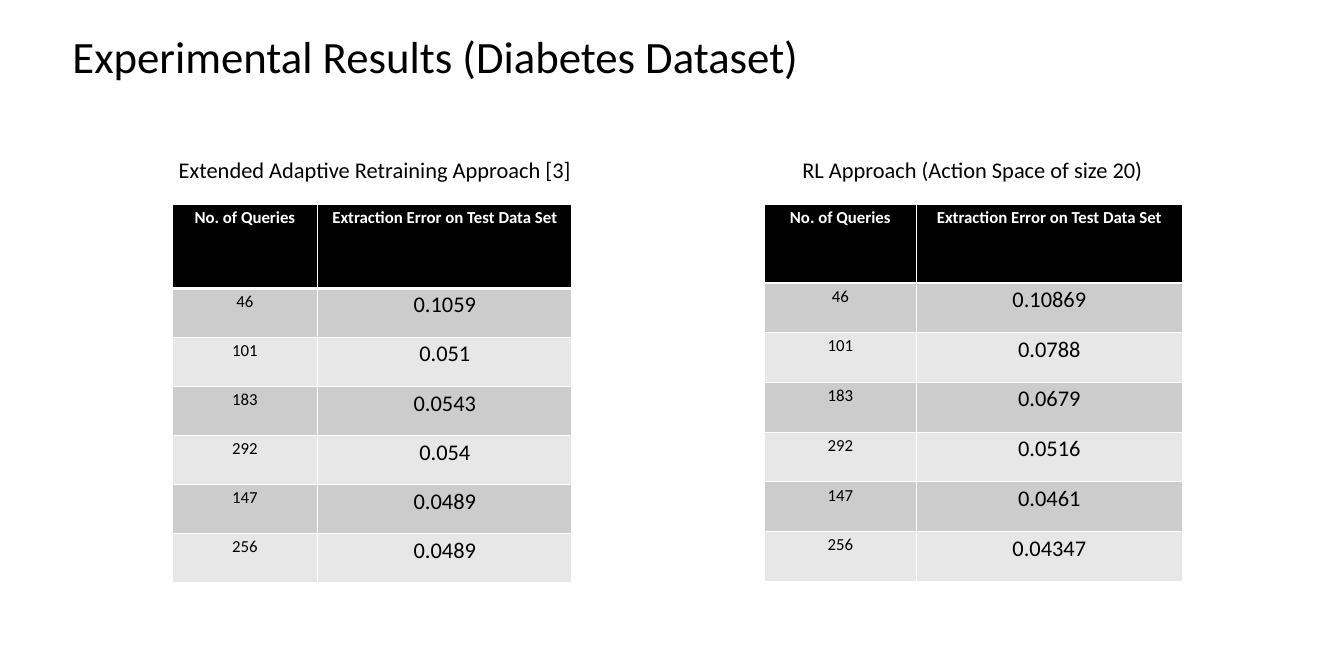
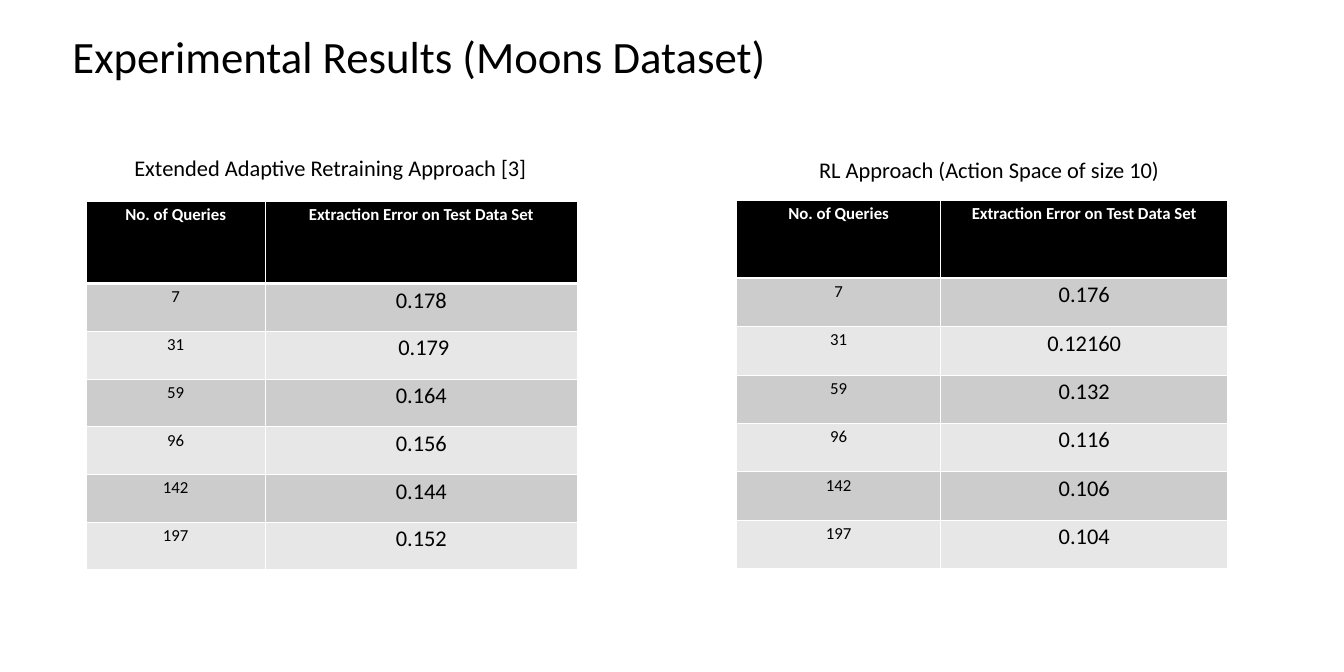
import pptx
import pptx.dml.color
import pptx.enum.text
import pptx.oxml.ns
import pptx.util
from lxml import etree
from pptx.util import Inches

FONT = "Calibri"
COLORS = {"ink": "000000", "paper": "FFFFFF", "odd_row": "CCCCCC", "even_row": "E7E7E7"}
TITLE_BOX = (0.98, 0.03, 17.64, 1.69)
HEADINGS = ("No. of Queries", "Extraction Error on Test Data Set")
ADAPTIVE = "Extended Adaptive Retraining Approach [3]"
RL = "RL Approach (Action Space of size {})"

# Each panel: caption, caption box, table position, column widths,
# heading height, row height and the extraction errors.
SLIDES = [
    {
        "title": "Experimental Results (Diabetes Dataset)",
        "queries": (46, 101, 183, 292, 147, 256),
        "panels": [
            {"caption": ADAPTIVE, "caption_offset": (0, -0.77), "caption_width": 6.69,
             "at": (2.56, 3.04), "columns": (2.17, 3.78), "heights": (1.25, 0.73),
             "errors": ("0.1059", "0.051", "0.0543", "0.054", "0.0489", "0.0489")},
            {"caption": RL.format(20), "caption_offset": (0.47, -0.77), "caption_width": 5.75,
             "at": (11.37, 3.04), "columns": (2.27, 3.95), "heights": (1.17, 0.74),
             "errors": ("0.10869", "0.0788", "0.0679", "0.0516", "0.0461", "0.04347")},
        ],
    },
    {
        "title": "Experimental Results (Moons Dataset)",
        "queries": (7, 31, 59, 96, 142, 197),
        "panels": [
            {"caption": ADAPTIVE, "caption_offset": (0.62, -0.75), "caption_width": 6.69,
             "at": (1.28, 3), "columns": (2.67, 4.64), "heights": (1.22, 0.71),
             "errors": ("0.178", " 0.179", "0.164", "0.156", "0.144", "0.152")},
            {"caption": RL.format(10), "caption_offset": (1.13, -0.71), "caption_width": 5.75,
             "at": (10.96, 2.98), "columns": (3.04, 4.27), "heights": (1.16, 0.72),
             "errors": ("0.176", "0.12160", "0.132", "0.116", "0.106", "0.104")},
        ],
    },
]


def rgb(name):
    return pptx.dml.color.RGBColor.from_string(COLORS[name])


def add_run(paragraph, text, size, color="ink", bold=False):
    run = paragraph.add_run()
    run.text = text
    run.font.name = FONT
    run.font.size = pptx.util.Pt(size)
    run.font.bold = bold
    run.font.color.rgb = rgb(color)


def add_text(slide, box, text, size):
    frame = slide.shapes.add_textbox(*map(Inches, box)).text_frame
    frame.word_wrap = True
    add_run(frame.paragraphs[0], text, size)
    return frame


def add_title(slide, box, text):
    frame = add_text(slide, box, text, 48)
    frame.vertical_anchor = pptx.enum.text.MSO_ANCHOR.MIDDLE
    frame.paragraphs[0].line_spacing = 0.9


def set_borders(cell, top, bottom):
    """Draw the four cell edges; top and bottom are widths in points."""
    properties = cell._tc.get_or_add_tcPr()
    for edge, width in (("L", 1), ("R", 1), ("T", top), ("B", bottom)):
        line = etree.SubElement(properties, pptx.oxml.ns.qn(f"a:ln{edge}"),
                                w=str(pptx.util.Pt(width)))
        fill = etree.SubElement(line, pptx.oxml.ns.qn("a:solidFill"))
        etree.SubElement(fill, pptx.oxml.ns.qn("a:srgbClr"), val=COLORS["paper"])


def fill_cell(cell, text, row, column):
    heading = row == 0
    set_borders(cell, top=3 if row == 1 else 1, bottom=3 if heading else 1)
    cell.fill.solid()
    cell.fill.fore_color.rgb = rgb("ink" if heading else "odd_row" if row % 2 else "even_row")
    paragraph = cell.text_frame.paragraphs[0]
    paragraph.alignment = pptx.enum.text.PP_ALIGN.CENTER
    size = 24 if column and not heading else 18
    add_run(paragraph, text, size, "paper" if heading else "ink", heading)


def add_results_table(slide, left, top, columns, heights, rows):
    heading_height, row_height = heights
    total_height = heading_height + row_height * (len(rows) - 1)
    table = slide.shapes.add_table(
        len(rows), len(columns),
        *map(Inches, (left, top, sum(columns), total_height))).table
    for column, width in zip(table.columns, columns):
        column.width = Inches(width)
    for r, values in enumerate(rows):
        table.rows[r].height = Inches(row_height if r else heading_height)
        for c, value in enumerate(values):
            fill_cell(table.cell(r, c), str(value), r, c)


def add_panel(slide, queries, panel):
    """Place a results table and its caption, which is offset from the table's corner."""
    left, top = panel["at"]
    dx, dy = panel["caption_offset"]
    rows = [HEADINGS, *zip(queries, panel["errors"])]
    add_results_table(slide, left, top, panel["columns"], panel["heights"], rows)
    add_text(slide, (left + dx, top + dy, panel["caption_width"], 0.5), panel["caption"], 24)


def add_results_slide(deck, content):
    slide = deck.slides.add_slide(deck.slide_layouts[6])
    add_title(slide, TITLE_BOX, content["title"])
    for panel in content["panels"]:
        add_panel(slide, content["queries"], panel)


def main():
    deck = pptx.Presentation()
    deck.slide_width, deck.slide_height = Inches(20), Inches(10)
    for content in SLIDES:
        add_results_slide(deck, content)
    deck.save("out.pptx")


if __name__ == "__main__":
    main()
